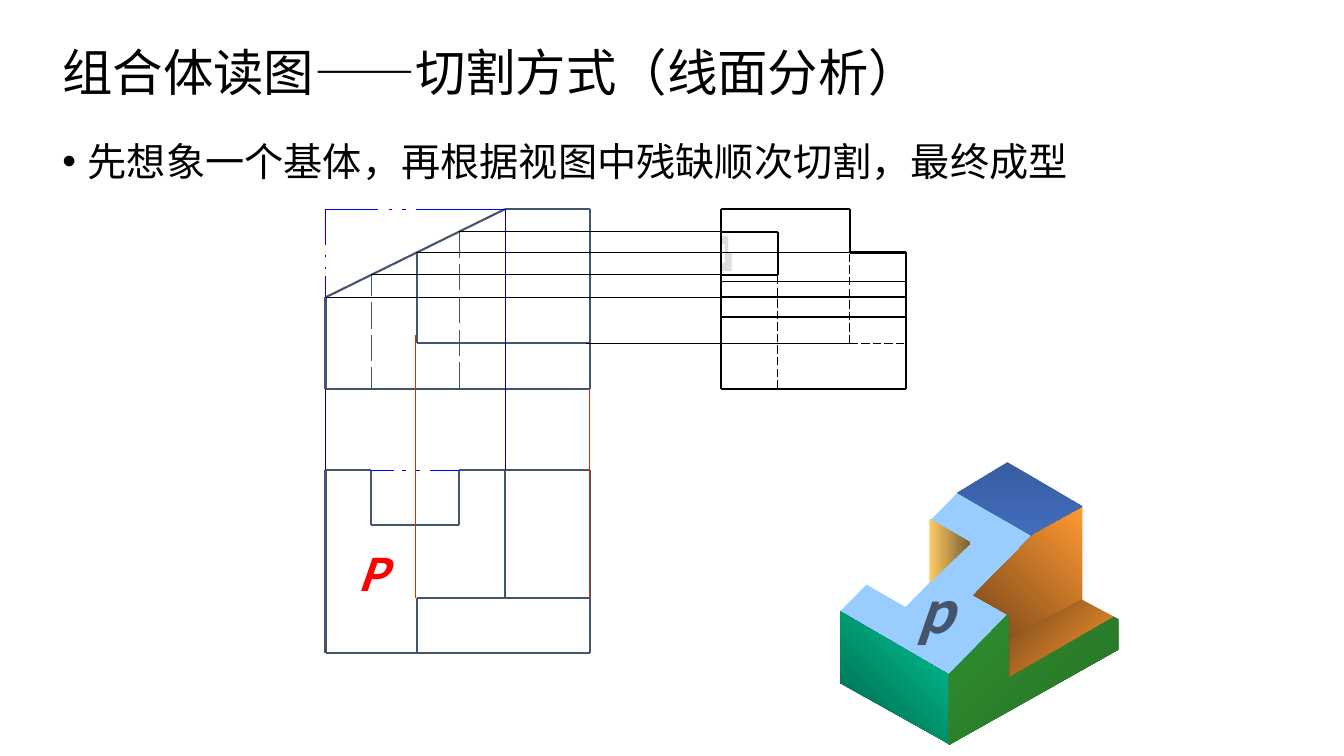
"""Build a slide on reading a cut solid: three projected views and a shaded model."""
from lxml.etree import SubElement
from pptx import Presentation
from pptx.dml.color import RGBColor
from pptx.enum.dml import MSO_LINE
from pptx.enum.shapes import MSO_CONNECTOR, MSO_SHAPE
from pptx.enum.text import MSO_ANCHOR, MSO_AUTO_SIZE, PP_ALIGN
from pptx.oxml.ns import qn
from pptx.util import Inches, Pt

THEME = {
    "font": "Noto Sans CJK SC",
    "title": 72, "body": 56, "label": 64, "face_label": 80,
    "ink": "000000", "slate": "44546A", "red": "FF0000", "grey": "DDDDDD",
}
PENS = {
    "outline": ("44546A", 3, None),
    "hidden": ("44546A", 1.5, None),
    "removed": ("0000FF", 1.5, None),
    "side": ("000000", 3, None),
    "side hidden": ("000000", 1.5, MSO_LINE.LONG_DASH),
    "level": ("000000", 1, None),
    "plumb blue": ("000099", 1, None),
    "plumb red": ("CC3300", 1, None),
}

LEFT, SLOT_L, STEP, SLOT_R, RIDGE, RIGHT = 6.46, 7.37, 8.28, 9.11, 10.02, 11.71
TOP, SLOT_HIGH, NOTCH, SLOT_LOW, SLOPE, SHELF, BASE = 4.15, 4.6, 5.01, 5.45, 5.9, 6.81, 7.71
BACK, POCKET, LEDGE, FRONT = 9.33, 10.42, 11.86, 12.95
SIDE_L, SIDE_SLOT, SIDE_STEP, SIDE_R = 14.31, 15.43, 16.86, 17.97


def across(y, *spans):
    return [(start, y, end, y) for start, end in spans]


def down(x, *spans):
    return [(x, start, x, end) for start, end in spans]


SIDE_HIDDEN = (
    down(SIDE_SLOT, (BASE, SLOT_LOW)) + down(SIDE_STEP, (SHELF, TOP))
    + across(SHELF, (SIDE_STEP, SIDE_R))
)
FRONT_AND_PLAN = {
    "outline": across(TOP, (RIDGE, RIGHT)) + across(SHELF, (STEP, RIGHT))
    + across(BASE, (LEFT, RIGHT)) + [(RIDGE, TOP, LEFT, SLOPE)]
    + across(BACK, (LEFT, SLOT_L), (SLOT_R, RIGHT)) + across(POCKET, (SLOT_L, SLOT_R))
    + across(LEDGE, (STEP, RIGHT)) + across(FRONT, (LEFT, RIGHT))
    + down(LEFT, (SLOPE, BASE), (BACK, FRONT)) + down(SLOT_L, (BACK, POCKET))
    + down(STEP, (NOTCH, SHELF), (LEDGE, FRONT)) + down(SLOT_R, (BACK, POCKET))
    + down(RIDGE, (BACK, LEDGE)) + down(RIGHT, (TOP, BASE), (BACK, FRONT)),
    "hidden": down(SLOT_R, *[(BASE - 0.65 * i, BASE - 0.65 * i - 0.52) for i in range(5)])
    + down(SLOT_L, (BASE, 7.29), (7.17, 6.65), (6.52, 6), (5.87, SLOT_LOW)),
    "removed": across(TOP, (LEFT, 7.51), (7.71, 7.78), (7.98, 8.06), (8.25, RIDGE))
    + down(LEFT, (TOP, 4.86), (5.05, 5.09), (5.29, 5.33), (5.48, SLOPE))
    + across(BACK, (SLOT_L, 7.82), (7.98, 8.06), (8.25, 8.33), (8.53, SLOT_R)),
}
PROJECTION_AND_SIDE = {
    "level": across(SLOT_HIGH, (SLOT_R, SIDE_L)) + across(SLOT_LOW, (SLOT_L, SIDE_L))
    + across(NOTCH, (8.25, 16.94)) + across(SHELF, (11.62, 16.94))
    + across(SLOPE, (LEFT, SIDE_L)),
    "side": across(TOP, (SIDE_L, SIDE_STEP)) + down(SIDE_STEP, (TOP, NOTCH))
    + across(NOTCH, (SIDE_STEP, SIDE_R)) + down(SIDE_R, (NOTCH, BASE))
    + across(BASE, (SIDE_R, SIDE_L)) + down(SIDE_L, (BASE, TOP))
    + across(SLOT_HIGH, (SIDE_L, SIDE_SLOT)) + down(SIDE_SLOT, (SLOT_HIGH, SLOT_LOW))
    + across(SLOT_LOW, (SIDE_SLOT, SIDE_L)) + across(SLOPE, (SIDE_L, SIDE_R)),
    "plumb blue": down(RIDGE, (TOP, BACK)) + down(LEFT, (BASE, BACK)),
    "plumb red": down(8.25, (6.65, LEDGE)) + down(11.69, (BASE, LEDGE)),
}

SHADOW = [(14.31, 4.68), (14.45, 4.68), (14.45, 5.02), (14.52, 5.02), (14.52, 5.38),
          (14.31, 5.38), (14.31, 5.2), (14.38, 5.22), (14.38, 4.85), (14.31, 4.85)]
SOLID_FACES = [
    ("99CCFF", [(19.04, 9.74), (21.25, 11), (18.83, 13.42), (16.67, 12.13)]),
    (("385DA0", "4472C4", 90), [(19, 9.78), (19.99, 9.17), (22.19, 10.47), (21.21, 11.05)]),
    (("005E47", "00CC99", 315), [(16.67, 12.13), (16.67, 13.55), (18.87, 14.78), (18.87, 13.41)]),
    (("339933", "256F25", 45), [(21.17, 11), (22.19, 10.47), (22.19, 12.89), (18.83, 14.78),
                                (18.83, 13.38)]),
    ("FFFFFF", [(18.29, 10.19), (19.17, 10.82), (17.97, 12.04), (17.2, 11.6)]),
    (("FFCC66", "765E2F", 0), [(18.44, 10.29), (18.44, 11.57), (19.26, 10.77)]),
    (("764718", "FF9933", 315), [(21.48, 10.07), (21.48, 11.9), (20.04, 12.68), (20.04, 12.22),
                                 (19.32, 11.81), (20.5, 10.61)]),
    (("764718", "FF9933", 45), [(20.04, 12.68), (20.04, 13.42), (22.11, 12.22), (21.51, 11.88)]),
    ("FFFFFF", [(21.48, 10.02), (21.48, 11.9), (22.31, 12.34), (22.31, 10.24), (21.89, 10)]),
]
HEADINGS = [
    ("组合体读图——切割方式（线面分析）", (1.14, 0.75, 21.87, 1.48), "title", False),
    ("先想象一个基体，再根据视图中残缺顺次切割，最终成型", (1.14, 2.78, 23.7, 10.73), "body", True),
]
LABELS = [
    ("p", (18.1, 11.39, 0.77, 1.45), "face_label", "slate"),
    ("P", (7, 10.79, 0.65, 1.18), "label", "red"),
]


def rgb(value):
    return RGBColor.from_string(value)


def set_font(para, size, color, strong=False):
    font = para.font
    font.size, font.name = Pt(THEME[size]), THEME["font"]
    font.bold = font.italic = strong
    font.color.rgb = rgb(THEME[color])
    east_asian = SubElement(para._p.pPr.find(qn("a:defRPr")), qn("a:ea"))
    east_asian.set("typeface", THEME["font"])


def add_heading(page, text, place, size, bulleted):
    box = page.shapes.add_textbox(*map(Inches, place))
    frame = box.text_frame
    frame.word_wrap = True
    frame.vertical_anchor = MSO_ANCHOR.TOP if bulleted else MSO_ANCHOR.MIDDLE
    para = frame.paragraphs[0]
    para.text, para.line_spacing = text, 0.9
    if bulleted:
        props = para._p.get_or_add_pPr()
        props.set("marL", str(Inches(0.5)))
        props.set("indent", str(-Inches(0.5)))
        SubElement(props, qn("a:buFont")).set("typeface", "Arial")
        SubElement(props, qn("a:buChar")).set("char", "•")
    set_font(para, size, "ink")


def add_label(page, text, place, size, color):
    frame = page.shapes.add_textbox(*map(Inches, place)).text_frame
    frame.word_wrap = False
    frame.auto_size = MSO_AUTO_SIZE.SHAPE_TO_FIT_TEXT
    frame.vertical_anchor = MSO_ANCHOR.MIDDLE
    para = frame.paragraphs[0]
    para.text, para.alignment = text, PP_ALIGN.CENTER
    set_font(para, size, color, strong=True)


def add_strokes(page, pen, strokes):
    color, width, dash = PENS[pen]
    for stroke in strokes:
        line = page.shapes.add_connector(MSO_CONNECTOR.STRAIGHT, *map(Inches, stroke))
        line.line.color.rgb, line.line.width = rgb(color), Pt(width)
        if dash:
            line.line.dash_style = dash
        SubElement(line._element.spPr, qn("a:effectLst"))


def add_face(page, paint, corners):
    points = [(Inches(x), Inches(y)) for x, y in corners]
    builder = page.shapes.build_freeform(*points[0])
    builder.add_line_segments(points[1:], close=True)
    face = builder.convert_to_shape()
    face.shadow.inherit = False
    face.line.fill.background()
    if isinstance(paint, str):
        face.fill.solid()
        face.fill.fore_color.rgb = rgb(paint)
        return
    *colors, clockwise = paint
    face.fill.gradient()
    face.fill.gradient_angle = -clockwise % 360
    for stop, color in zip(face.fill.gradient_stops, colors):
        stop.color.rgb = rgb(color)


def add_band(page):
    place = (SIDE_L, 5.58, SIDE_R - SIDE_L, 0.71)
    band = page.shapes.add_shape(MSO_SHAPE.RECTANGLE, *map(Inches, place))
    band.shadow.inherit = False
    band.fill.background()
    band.line.color.rgb, band.line.width = rgb(THEME["ink"]), Pt(1.5)


def main():
    deck = Presentation()
    deck.slide_width, deck.slide_height = Inches(26.67), Inches(15)
    page = deck.slides.add_slide(deck.slide_layouts[6])
    for heading in HEADINGS:
        add_heading(page, *heading)
    add_face(page, THEME["grey"], SHADOW)
    add_strokes(page, "side hidden", SIDE_HIDDEN)
    add_band(page)
    for pen, strokes in FRONT_AND_PLAN.items():
        add_strokes(page, pen, strokes)
    for paint, corners in SOLID_FACES:
        add_face(page, paint, corners)
    for label in LABELS:
        add_label(page, *label)
    for pen, strokes in PROJECTION_AND_SIDE.items():
        add_strokes(page, pen, strokes)
    deck.save("out.pptx")


if __name__ == "__main__":
    main()
